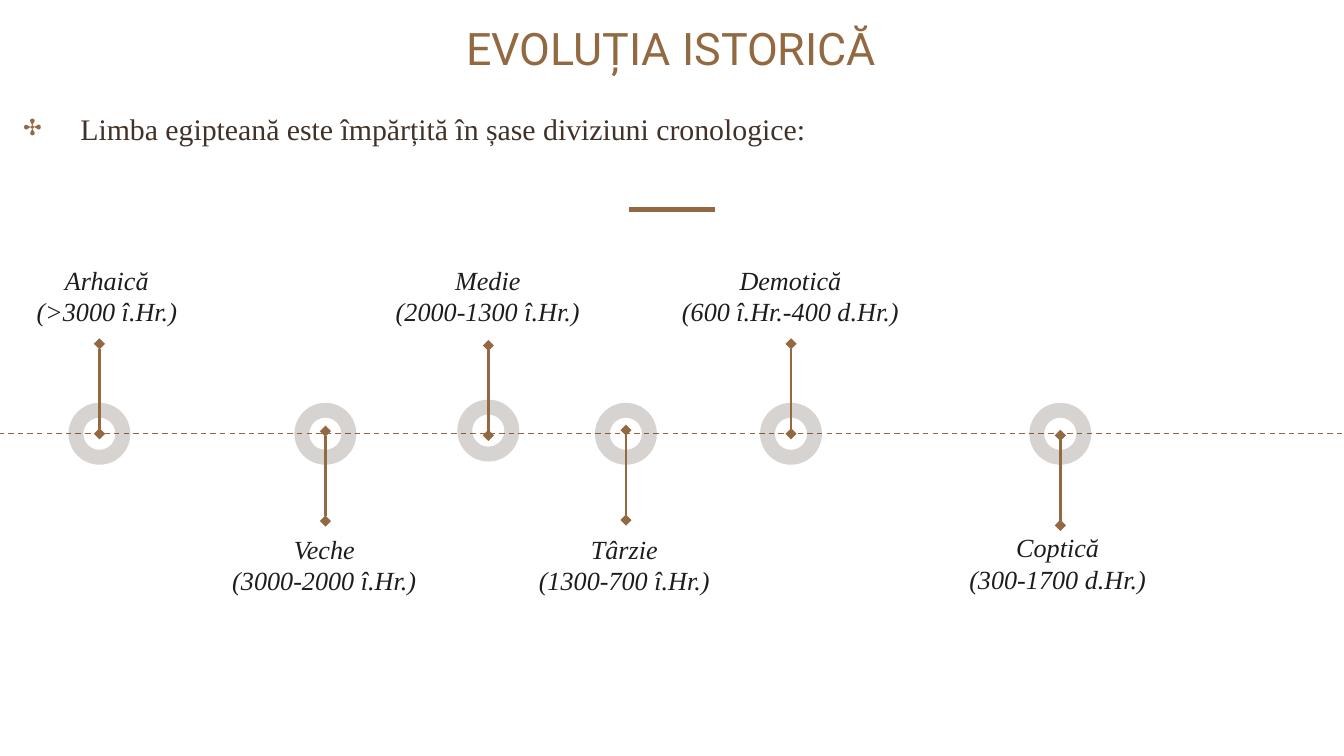
from typing import NamedTuple

from lxml import etree
from pptx import Presentation
from pptx import util as u
from pptx.dml.color import RGBColor
from pptx.enum import dml, shapes, text
from pptx.oxml.ns import qn

COLORS = {"bronze": "926940", "brown": "403228", "ink": "1D1D1B"}
SERIF = "Times New Roman"
AXIS_Y = 8.2
STEM = 1.7
RING = 1.17


class Period(NamedTuple):
    """One stage of the language; lengths in centimetres."""
    name: str
    years: str
    x: float
    label_x: float
    label_width: float
    label_top: float
    direction: int  # -1 stem rises, 1 stem falls
    stem_y: float = AXIS_Y
    ring_y: float = AXIS_Y


PERIODS = [
    Period("Arhaică", "(>3000 î.Hr.)", 1.88, 2.02, 4.04, 4.75, -1),
    Period("Veche", "(3000-2000 î.Hr.)", 6.15, 6.13, 6.78, 9.83, 1, stem_y=8.15),
    Period("Medie", "(2000-1300 î.Hr.)", 9.23, 9.22, 5.08, 4.75, -1, stem_y=8.23, ring_y=8.14),
    Period("Târzie", "(1300-700 î.Hr.)", 11.83, 11.8, 6.78, 9.83, 1, stem_y=8.13),
    Period("Demotică", "(600 î.Hr.-400 d.Hr.)", 14.95, 14.94, 6.5, 4.75, -1),
    Period("Coptică", "(300-1700 d.Hr.)", 20.04, 19.99, 5.08, 9.8, 1, stem_y=8.23),
]


def rgb(name: str) -> RGBColor:
    return RGBColor.from_string(COLORS[name])


def style_font(font, color: str, **values) -> None:
    for key, value in values.items():
        setattr(font, key, value)
    font.color.rgb = rgb(color)


def add_line(slide, x1: float, y1: float, x2: float, y2: float, width: float):
    line = slide.shapes.add_connector(
        shapes.MSO_CONNECTOR.STRAIGHT, u.Cm(x1), u.Cm(y1), u.Cm(x2), u.Cm(y2))
    line.line.width = u.Pt(width)
    line.line.color.rgb = rgb("bronze")
    etree.SubElement(line._element.spPr, qn("a:effectLst"))
    return line


def set_frame(frame, anchor) -> None:
    values = {side: u.Cm(0.25) for side in
              ("margin_left", "margin_right", "margin_top", "margin_bottom")}
    values.update(word_wrap=True, vertical_anchor=anchor)
    for key, value in values.items():
        setattr(frame, key, value)


def add_text_frame(slide, left: float, top: float, width: float, height: float):
    box = slide.shapes.add_textbox(u.Cm(left), u.Cm(top), u.Cm(width), u.Cm(height))
    set_frame(box.text_frame, text.MSO_ANCHOR.TOP)
    return box.text_frame


def add_title(slide) -> None:
    title = slide.shapes.title
    for key, value in {"left": 5.23, "top": 0.51, "width": 14.91, "height": 1.14}.items():
        setattr(title, key, u.Cm(value))
    set_frame(title.text_frame, text.MSO_ANCHOR.BOTTOM)
    title.text_frame.auto_size = text.MSO_AUTO_SIZE.NONE
    title.text_frame.text = "EVOLUȚIA ISTORICĂ"
    heading = title.text_frame.paragraphs[0]
    heading.alignment = text.PP_ALIGN.CENTER
    style_font(heading.runs[0].font, "bronze", name="Roboto", size=u.Pt(24))


def add_intro(slide) -> None:
    intro = add_text_frame(slide, 0, 1.85, 25.4, 12.44).paragraphs[0]
    intro.text = "Limba egipteană este împărțită în șase diviziuni cronologice:"
    props = intro._p.get_or_add_pPr()
    props.set("marL", str(u.Cm(1.27)))
    props.set("indent", str(u.Cm(-1.07)))
    bullet_color = etree.SubElement(props, qn("a:buClr"))
    etree.SubElement(bullet_color, qn("a:srgbClr"), val=COLORS["bronze"])
    etree.SubElement(props, qn("a:buChar"), char="✣")
    style_font(intro.runs[0].font, "brown", name=SERIF, size=u.Pt(16))


def add_ring(slide, period: Period) -> None:
    ring = slide.shapes.add_shape(
        shapes.MSO_SHAPE.DONUT, u.Cm(period.x - RING / 2),
        u.Cm(period.ring_y - RING / 2), u.Cm(RING), u.Cm(RING))
    ring.adjustments[0] = 0.24
    ring.shadow.inherit = False
    ring.line.fill.background()
    ring.fill.solid()
    ring.fill.fore_color.rgb = rgb("brown")
    color = ring._element.spPr.find(qn("a:solidFill")).find(qn("a:srgbClr"))
    etree.SubElement(color, qn("a:alpha"), val="21000")


def add_stem(slide, period: Period) -> None:
    stem = add_line(slide, period.x, period.stem_y, period.x,
                    period.stem_y + period.direction * STEM, 1.5)
    for end in ("a:headEnd", "a:tailEnd"):
        etree.SubElement(stem.line._get_or_add_ln(), qn(end), type="diamond")


def add_label(slide, period: Period) -> None:
    frame = add_text_frame(slide, period.label_x - period.label_width / 2,
                           period.label_top, period.label_width, 1.14)
    frame.text = f"{period.name}\n{period.years}"
    for paragraph in frame.paragraphs:
        paragraph.alignment = text.PP_ALIGN.CENTER
        style_font(paragraph.runs[0].font, "ink", name=SERIF, size=u.Pt(14), italic=True)


def main() -> None:
    deck = Presentation()
    deck.slide_width, deck.slide_height = u.Cm(25.4), u.Cm(14.29)
    slide = deck.slides.add_slide(deck.slide_layouts[5])
    add_title(slide)
    add_line(slide, 11.89, 3.96, 13.51, 3.96, 2.25)
    axis = add_line(slide, -0.03, AXIS_Y, 25.43, AXIS_Y, 0.75)
    axis.line.dash_style = dml.MSO_LINE.DASH
    for draw in (add_ring, add_stem, add_label):
        for period in PERIODS:
            draw(slide, period)
    add_intro(slide)
    deck.save("out.pptx")


if __name__ == "__main__":
    main()
